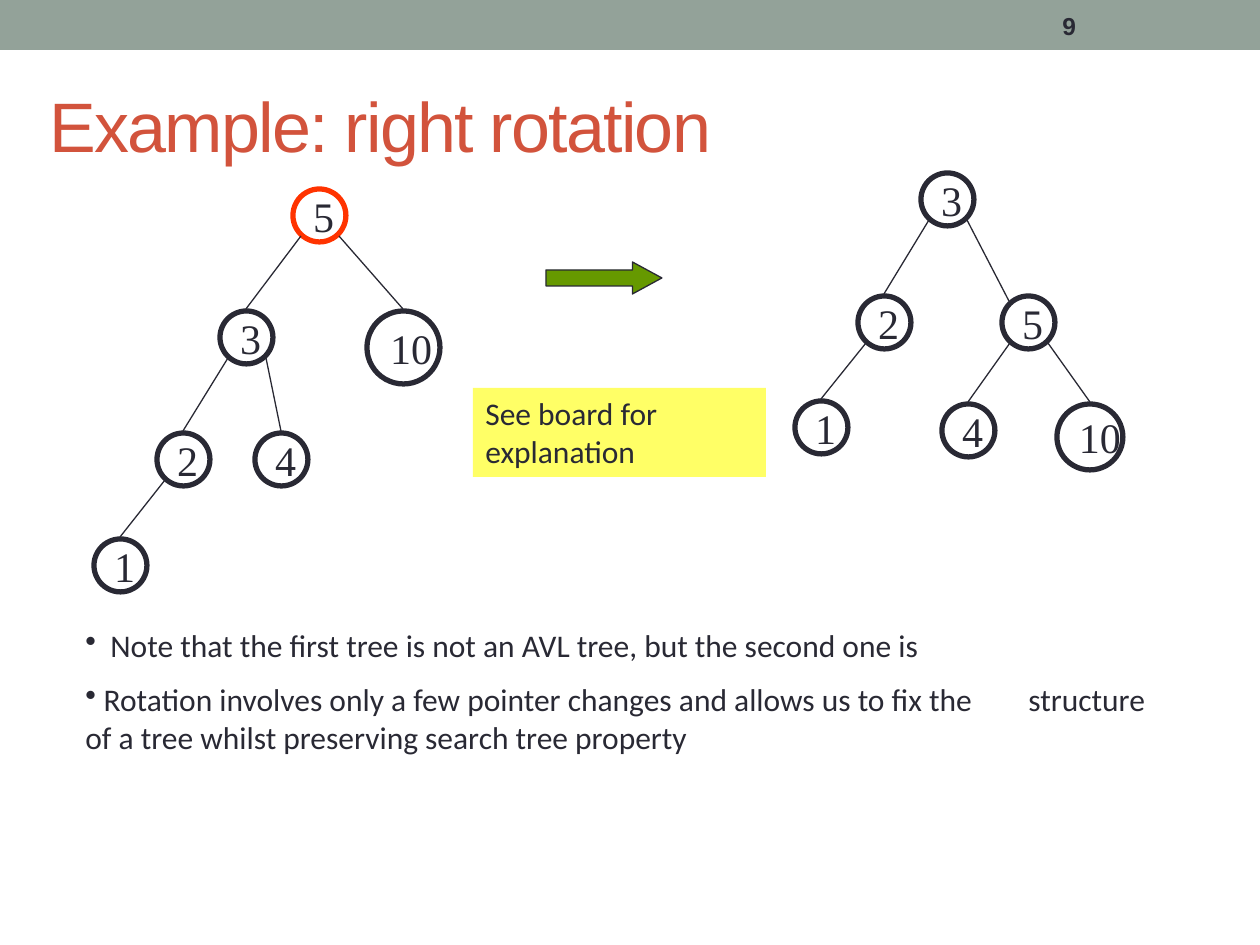
from lxml import etree
from pptx import Presentation
from pptx.dml.color import RGBColor
from pptx.enum.shapes import MSO_CONNECTOR, MSO_SHAPE
from pptx.enum.text import MSO_ANCHOR, MSO_AUTO_SIZE, PP_ALIGN
from pptx.oxml.ns import qn
from pptx.util import Pt

PX = 914400 // 126  # one px in EMU

INK = RGBColor(0x29, 0x29, 0x34)
RUST = RGBColor(0xD2, 0x53, 0x3C)
SAGE = RGBColor(0x93, 0xA2, 0x99)
RED = RGBColor(0xFF, 0x33, 0x00)
YELLOW = RGBColor(0xFF, 0xFF, 0x66)
GREEN = RGBColor(0x66, 0x99, 0x00)

TITLE = "Example: right rotation"
PAGE_NUMBER = "9"
CALLOUT = "See board for explanation"
# text, hanging indent in px
NOTES = [
    ("Note that the first tree is not an AVL tree, but the second one is", 25),
    (" Rotation involves only a few pointer changes and allows us to fix the\t"
     "structure of a tree whilst preserving search tree property", 0),
]
NOTE_TAB = 943

# Each tree: nodes as label -> (left, top, diameter), edges as (parent, child)
BEFORE = {
    "nodes": {"5": (293, 189, 53), "3": (220, 311, 53), "10": (367, 311, 73),
              "2": (157, 433, 53), "4": (255, 433, 53), "1": (94, 539, 53)},
    "edges": [("5", "3"), ("5", "10"), ("3", "2"), ("3", "4"), ("2", "1")],
    "unbalanced": "5",
}
AFTER = {
    "nodes": {"3": (921, 173, 53), "2": (858, 296, 53), "5": (1002, 296, 53),
              "1": (795, 401, 53), "4": (942, 404, 53), "10": (1057, 404, 66)},
    "edges": [("3", "2"), ("3", "5"), ("2", "1"), ("5", "4"), ("5", "10")],
    "side_entry": ("3", "5"),  # this edge meets the child's upper left
}


def place(*lengths):
    return [length * PX for length in lengths]


def write(para, text, font, size, color=INK, bold=False):
    span = para.add_run()
    span.text = text
    span.font.name = font
    span.font.size = Pt(size)
    span.font.color.rgb = color
    span.font.bold = bold
    para.alignment = PP_ALIGN.LEFT
    return span


def add_shape(page, kind, bounds, fill=None, line=None, width=0.75):
    shape = page.shapes.add_shape(kind, *place(*bounds))
    shape.shadow.inherit = False
    if fill is None:
        shape.fill.background()
    else:
        shape.fill.solid()
        shape.fill.fore_color.rgb = fill
    if line is None:
        shape.line.fill.background()
    else:
        shape.line.color.rgb = line
        shape.line.width = Pt(width)
    return shape


def add_edge(page, parent, child, side_entry):
    left, top, size = parent
    child_left, child_top, child_size = child
    goes_left = child_left < left
    start = (left + (8 if goes_left else size - 7), top + size - 6)
    end = (child_left + child_size // 2, child_top - 2)
    if side_entry:
        end = (child_left + 7, child_top + 5)
    edge = page.shapes.add_connector(MSO_CONNECTOR.STRAIGHT, *place(*start, *end))
    edge.line.color.rgb = INK
    edge.line.width = Pt(0.75)
    etree.SubElement(edge._element.spPr, qn("a:effectLst"))


def add_tree(page, tree):
    nodes = tree["nodes"]
    for label, (left, top, size) in nodes.items():
        ring = RED if label == tree.get("unbalanced") else INK
        node = add_shape(page, MSO_SHAPE.OVAL, (left, top, size, size), None, ring, 3)
        frame = node.text_frame
        frame.word_wrap = False
        frame.vertical_anchor = MSO_ANCHOR.MIDDLE
        write(frame.paragraphs[0], label, "Times New Roman", 24)
    for parent, child in tree["edges"]:
        add_edge(page, nodes[parent], nodes[child],
                 (parent, child) == tree.get("side_entry"))


def add_bullet(para, hang):
    props = para._p.get_or_add_pPr()
    props.set("marL", str(hang * PX))
    props.set("indent", str(-hang * PX))
    etree.SubElement(props, qn("a:buChar")).set("char", "•")
    tabs = etree.SubElement(props, qn("a:tabLst"))
    tab = etree.SubElement(tabs, qn("a:tab"))
    tab.set("pos", str(NOTE_TAB * PX))
    tab.set("algn", "l")


def main():
    deck = Presentation()
    deck.slide_width, deck.slide_height = place(1260, 945)
    page = deck.slides.add_slide(deck.slide_layouts[5])

    # Header band and page number
    add_shape(page, MSO_SHAPE.RECTANGLE, (0, 0, 1260, 50), SAGE)
    box = page.shapes.add_textbox(*place(1050, 3, 147, 45))
    box.text_frame.word_wrap = True
    box.text_frame.vertical_anchor = MSO_ANCHOR.MIDDLE
    write(box.text_frame.paragraphs[0], PAGE_NUMBER, "Arial", 14, bold=True)

    # Title
    title = page.shapes.title
    title.left, title.top, title.width, title.height = place(37, 57, 1134, 136)
    title.text_frame.auto_size = MSO_AUTO_SIZE.NONE
    title.text_frame.vertical_anchor = MSO_ANCHOR.MIDDLE
    span = write(title.text_frame.paragraphs[0], TITLE, "Arial", 40, RUST)
    span.font._element.set("spc", "-100")

    # Trees before and after, with the arrow between them
    add_tree(page, BEFORE)
    add_tree(page, AFTER)
    arrow = add_shape(page, MSO_SHAPE.RIGHT_ARROW, (546, 262, 116, 32), GREEN, INK)
    arrow.adjustments[0] = 0.5
    arrow.adjustments[1] = 0.92

    # Callout
    callout = add_shape(page, MSO_SHAPE.RECTANGLE, (473, 388, 293, 89), YELLOW)
    callout.text_frame.word_wrap = True
    callout.text_frame.vertical_anchor = MSO_ANCHOR.TOP
    para = callout.text_frame.paragraphs[0]
    para.space_before = Pt(9)
    write(para, CALLOUT, "Calibri", 18)

    # Notes
    box = page.shapes.add_textbox(*place(73, 620, 1103, 202))
    frame = box.text_frame
    frame.word_wrap = True
    for index, (text, hang) in enumerate(NOTES):
        para = frame.add_paragraph() if index else frame.paragraphs[0]
        para.space_before = Pt(9)
        write(para, text, "Calibri", 18)
        add_bullet(para, hang)

    deck.save("out.pptx")


if __name__ == "__main__":
    main()
